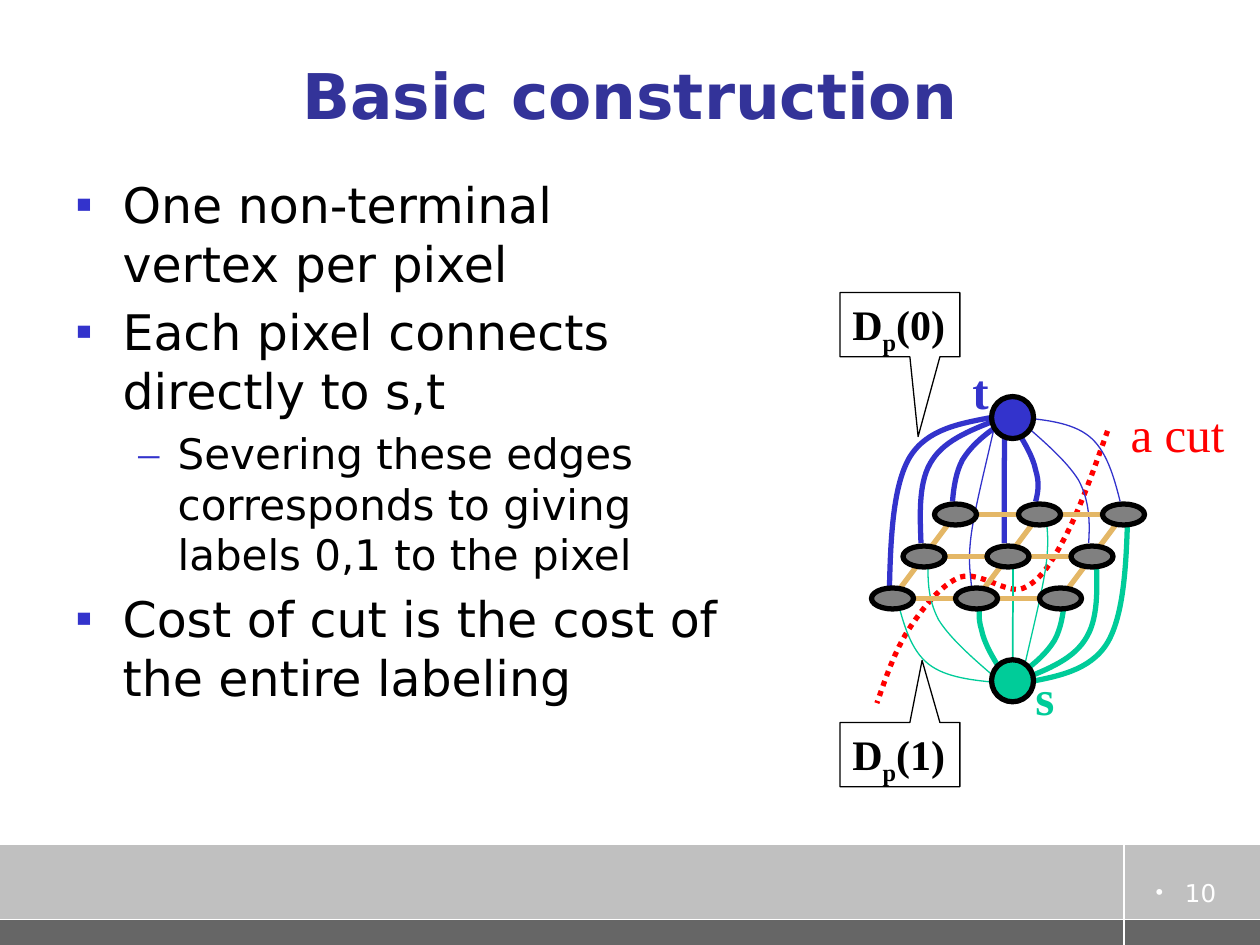
from lxml import etree
from pptx import Presentation
from pptx.dml.color import RGBColor
from pptx.enum.dml import MSO_LINE
from pptx.enum.shapes import MSO_CONNECTOR, MSO_SHAPE
from pptx.enum.text import MSO_ANCHOR, PP_ALIGN
from pptx.oxml.ns import qn
from pptx.util import Pt

STRAIGHT = MSO_CONNECTOR.STRAIGHT
RECTANGLE, OVAL = MSO_SHAPE.RECTANGLE, MSO_SHAPE.OVAL
CALLOUT = MSO_SHAPE.RECTANGULAR_CALLOUT
DOTTED = MSO_LINE.ROUND_DOT
MIDDLE, TOP = MSO_ANCHOR.MIDDLE, MSO_ANCHOR.TOP
LEFT, CENTER, RIGHT = PP_ALIGN.LEFT, PP_ALIGN.CENTER, PP_ALIGN.RIGHT

BLACK = RGBColor(0x00, 0x00, 0x00)
WHITE = RGBColor(0xFF, 0xFF, 0xFF)
RED = RGBColor(0xFF, 0x00, 0x00)
BLUE = RGBColor(0x33, 0x33, 0xCC)
NAVY = RGBColor(0x33, 0x33, 0x99)
GREEN = RGBColor(0x00, 0xCC, 0x99)
TAN = RGBColor(0xE4, 0xB7, 0x66)
GRAY = RGBColor(0x80, 0x80, 0x80)
SILVER = RGBColor(0xC0, 0xC0, 0xC0)
DARK = RGBColor(0x66, 0x66, 0x66)
SANS, SERIF = "DejaVu Sans", "Times New Roman"

TITLE = "Basic construction"
BULLETS = [
    (0, "One non-terminal vertex per pixel"),
    (0, "Each pixel connects directly to s,t"),
    (1, "Severing these edges corresponds to giving labels 0,1 to the pixel"),
    (0, "Cost of cut is the cost of the entire labeling"),
]
LEVELS = [("▪", 28, 27, 27), ("–", 24, 58.5, 22.5)]
BANDS = [(483, 57, SILVER), (525.6, 14.4, DARK)]
RULES = [((642.2, 480), (642.2, 540), 1.13), ((0, 525.6), (720, 525.6), 0.75)]

CUT = [(632.9, 246.2), (625, 268.6), (617, 290.9), (609.1, 306), (601.2, 321.1),
       (594.7, 331.9), (584.6, 336.2), (575.3, 339.8), (560.2, 326.2),
       (548.6, 329.8), (537.8, 334.1), (527, 347.8), (519.1, 360),
       (511.2, 372.2), (506.2, 387.4), (501.1, 401.8)]
TERMINAL_EDGES = [
    (3, 3, [(568, 244.8), (560.9, 249.8), (554.4, 255.6), (550, 262.8),
            (546.5, 269.3), (545, 277.9), (544.3, 286.6)]),
    (3, 3, [(573.8, 238.3), (557.3, 244.8), (540.7, 250.6), (532.8, 262.8),
            (524.9, 274.3), (525.6, 292.3), (526.3, 310.3)]),
    (3, 3, [(568, 238.3), (549.4, 241.9), (529.9, 244.8), (519.8, 261.4),
            (510.5, 277.2), (509, 306), (508.3, 334.8)]),
    (3, 3, [(580.3, 244.8), (585.4, 252.7), (590.4, 261.4), (591.8, 268.6),
            (594, 275.8), (593.3, 280.8), (591.8, 286.6)]),
    (3, 1, [(574, 244.8), (574, 244.8), (573.9, 277.2), (573.8, 310.3)]),
    (0.75, 0.75, [(568, 244.8), (563, 267.1), (557.3, 289.4), (555.1, 304.6),
                  (553, 319.7), (554.4, 326.9), (555.1, 334.8)]),
    (0.75, 0.75, [(580.3, 238.3), (596.2, 239.8), (612, 241.2), (622.1, 249.1),
                  (632.2, 257), (636.5, 272.2), (640.1, 286.6)]),
    (0.75, 0.75, [(580.3, 238.3), (594.7, 250.6), (609.1, 262.8), (616.3, 274.3),
                  (622.8, 286.6), (622.8, 298.8), (622.1, 310.3)]),
]
MIRROR_X, MIRROR_Y = 1152.7, 628.6
CALLOUTS = [(167.2, "(0)", 0.152, 1.741), (412.8, "(1)", 0.185, -1.466)]
GRID = 3
PRECISION = 100

deck = Presentation()
deck.slide_width, deck.slide_height = Pt(720), Pt(540)
page = deck.slides.add_slide(deck.slide_layouts[6])


def style(span, size, font, color, bold=False):
    span.font.size, span.font.name, span.font.bold = Pt(size), font, bold
    span.font.color.rgb = color


def add_text(text, left, top, width, height, size, font, color,
             bold=False, align=LEFT, anchor=TOP, wrap=True):
    box = page.shapes.add_textbox(Pt(left), Pt(top), Pt(width), Pt(height))
    frame = box.text_frame
    frame.word_wrap, frame.vertical_anchor = wrap, anchor
    frame.text = text
    para = frame.paragraphs[0]
    para.alignment = align
    style(para.runs[0], size, font, color, bold)
    return frame


def add_bullet(para, symbol, margin, hang, color):
    props = para._p.get_or_add_pPr()
    props.set("marL", str(Pt(margin)))
    props.set("indent", str(-Pt(hang)))
    tint = etree.SubElement(props, qn("a:buClr"))
    etree.SubElement(tint, qn("a:srgbClr"), val=str(color))
    etree.SubElement(props, qn("a:buFont"), typeface=SERIF)
    etree.SubElement(props, qn("a:buChar"), char=symbol)


def add_shape(kind, left, top, width, height, fill=None, line=None, weight=3):
    shape = page.shapes.add_shape(kind, Pt(left), Pt(top), Pt(width), Pt(height))
    shape.shadow.inherit = False
    if fill is None:
        shape.fill.background()
    else:
        shape.fill.solid()
        shape.fill.fore_color.rgb = fill
    if line is None:
        shape.line.fill.background()
    else:
        shape.line.color.rgb, shape.line.width = line, Pt(weight)
    return shape


def add_line(start, end, color, weight):
    line = page.shapes.add_connector(STRAIGHT, *map(Pt, start + end))
    line.line.color.rgb, line.line.width = color, Pt(weight)
    etree.SubElement(line._element.spPr, qn("a:effectLst"))


def add_curve(points, color, weight):
    start, *controls = [(round(x * PRECISION), round(y * PRECISION)) for x, y in points]
    builder = page.shapes.build_freeform(*start, scale=Pt(1) / PRECISION)
    builder.add_line_segments(controls, close=False)
    curve = builder.convert_to_shape()
    segments = list(curve._element.iter(qn("a:lnTo")))
    outline = segments[0].getparent()
    for i in range(0, len(segments), 3):
        bezier = etree.SubElement(outline, qn("a:cubicBezTo"))
        for segment in segments[i:i + 3]:
            bezier.append(segment[0])
            outline.remove(segment)
    curve.shadow.inherit = False
    curve.fill.background()
    curve.line.color.rgb, curve.line.width = color, Pt(weight)
    return curve


def add_terminal(edges, color, top, label, label_left, label_top, label_width):
    for weight, points in edges:
        add_curve(points, color, weight)
    add_shape(OVAL, 566.6, top, 24, 24, color, BLACK)
    add_text(label, label_left, label_top, label_width, 41, 28, SERIF, color, True, wrap=False)


def node(row, col):
    return 546 - 18 * row + 48 * col, 294 + 24 * row


for top, height, color in BANDS:
    add_shape(RECTANGLE, 0, top, 720, height, color)
for start, end, weight in RULES:
    add_line(start, end, WHITE, weight)
number = add_text("10", 648, 498.2, 54, 24, 14, SANS, WHITE, align=RIGHT)
add_bullet(number.paragraphs[0], "•", 17, 17, WHITE)

add_text(TITLE, 36, 18, 648, 72, 36, SANS, NAVY, True, CENTER, MIDDLE)
body = page.shapes.add_textbox(Pt(36), Pt(96), Pt(384.5), Pt(384)).text_frame
body.word_wrap = True
body.text = "\n".join(text for _, text in BULLETS)
for para, (level, _) in zip(body.paragraphs, BULLETS):
    symbol, size, margin, hang = LEVELS[level]
    para.level = level
    para.space_before = Pt(size * 0.2)
    add_bullet(para, symbol, margin, hang, BLUE)
    style(para.runs[0], size, SANS, BLACK)

add_curve(CUT, RED, 3).line.dash_style = DOTTED
add_text("a cut", 639, 226.8, 68, 41, 28, SERIF, RED, wrap=False)

upper = [(weight, points) for weight, _, points in TERMINAL_EDGES]
lower = [(weight, [(MIRROR_X - x, MIRROR_Y - y) for x, y in points])
         for _, weight, points in TERMINAL_EDGES]
add_terminal(lower, GREEN, 377, "s", 584.6, 377.3, 25)
add_terminal(upper, BLUE, 226.6, "t", 548.6, 202.5, 22.5)

for top, value, tip_x, tip_y in CALLOUTS:
    callout = add_shape(CALLOUT, 480, top, 68.5, 36.7, None, BLACK, 0.75)
    callout.adjustments[0], callout.adjustments[1] = tip_x, tip_y
    callout.text_frame.vertical_anchor = TOP
    para = callout.text_frame.paragraphs[0]
    para.alignment = LEFT
    for text in ("D", "p", value):
        span = para.add_run()
        span.text = text
        style(span, 24, SERIF, BLACK, True)
    para.runs[1].font._element.set("baseline", "-25000")

for row in range(GRID):
    for col in range(GRID - 1):
        add_line(node(row, col), node(row, col + 1), TAN, 3)
for stops in ((0, 0), (2, 0)), ((0, 1), (1, 1)), ((1, 1), (2, 1)), ((0, 2), (2, 2)):
    start, end = stops
    add_line(node(*start), node(*end), TAN, 3)
for col in range(GRID):
    for row in range(GRID):
        x, y = node(row, col)
        add_shape(OVAL, x - 12, y - 6, 24, 12, GRAY, BLACK)

deck.save("out.pptx")
